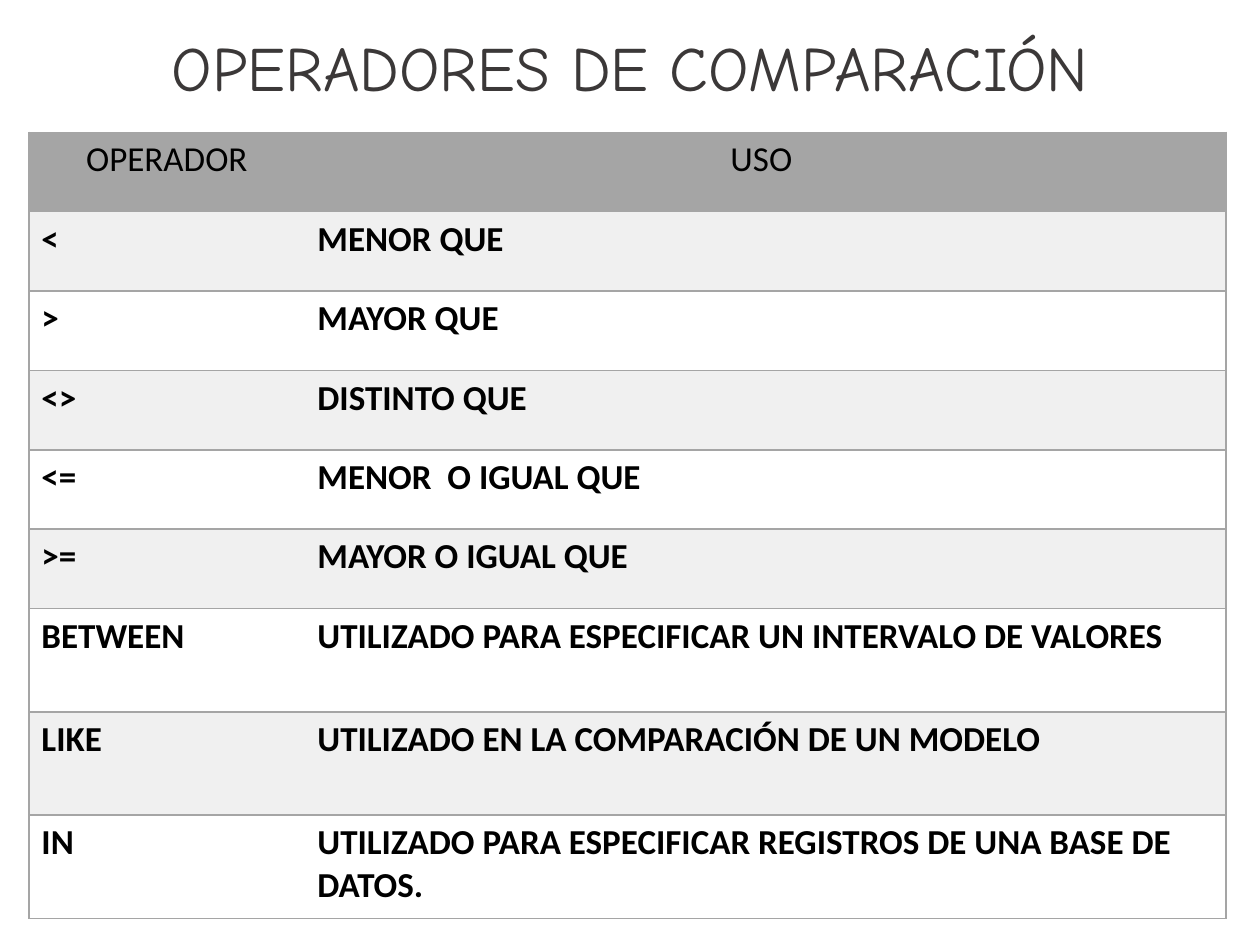
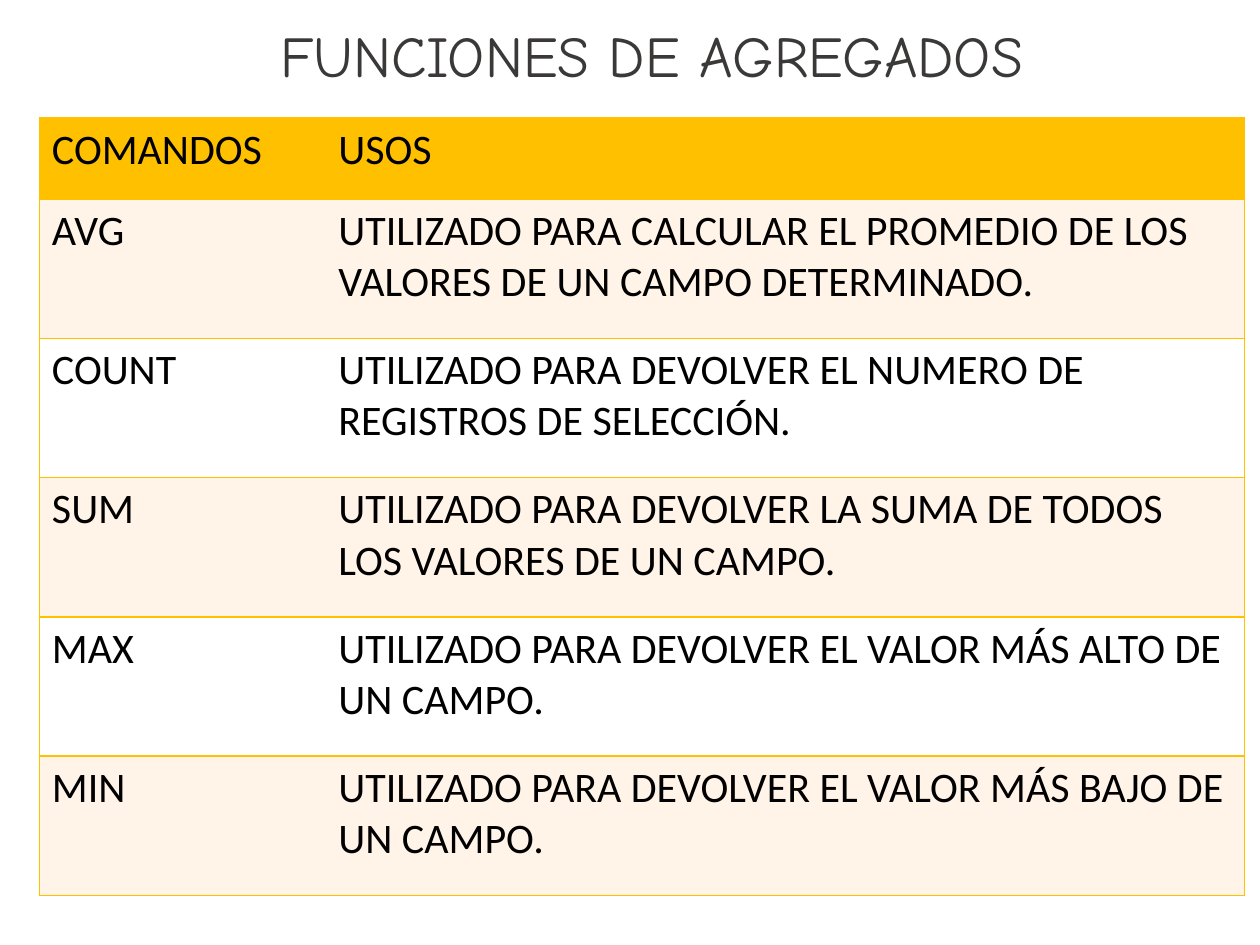
import pptx
import pptx.dml.color
import pptx.enum.text
import pptx.oxml
import pptx.oxml.ns
import pptx.util
from pptx.dml.color import RGBColor
from pptx.util import Pt

TITLE_COLOR = RGBColor(0x3B, 0x38, 0x38)
TEXT_COLOR = RGBColor(0x00, 0x00, 0x00)
WHITE = RGBColor(0xFF, 0xFF, 0xFF)
GRAY = RGBColor(0xA5, 0xA5, 0xA5)
LIGHT_GRAY = RGBColor(0xF0, 0xF0, 0xF0)
AMBER = RGBColor(0xFF, 0xC0, 0x00)
LIGHT_AMBER = RGBColor(0xFF, 0xF4, 0xE7)
TITLE_FONT = "Comic Neue"
TABLE_FONT = "Calibri"
CENTER = pptx.enum.text.PP_ALIGN.CENTER
LEFT = pptx.enum.text.PP_ALIGN.LEFT

comparison = {
    "title": "OPERADORES DE COMPARACIÓN",
    "title_box": (0, 3.6, 720, 74.2),
    "title_size": 36,
    "table_at": (16.5, 75.6),
    "columns": (157.7, 526.3),
    "heights": [45.36] * 6 + [59.04] * 3,
    "size": 20,
    "bold_body": True,
    "header_alignment": CENTER,
    "accent": GRAY,
    "band": LIGHT_GRAY,
    "rows": [
        ("OPERADOR", "USO "),
        ("<", "MENOR QUE"),
        (">", "MAYOR QUE"),
        ("<>", "DISTINTO QUE"),
        ("<=", "MENOR  O IGUAL QUE"),
        (">=", "MAYOR O IGUAL QUE"),
        ("BETWEEN", "UTILIZADO PARA ESPECIFICAR UN INTERVALO DE VALORES"),
        ("LIKE", "UTILIZADO EN LA COMPARACIÓN DE UN MODELO"),
        ("IN", "UTILIZADO PARA ESPECIFICAR REGISTROS DE UNA BASE DE DATOS."),
    ],
}
aggregates = {
    "title": "FUNCIONES DE AGREGADOS ",
    "title_box": (36, 0, 684, 67.7),
    "title_size": 33,
    "table_at": (22.5, 67.5),
    "columns": (163.7, 525),
    "heights": [46.4] + [79.55] * 5,
    "size": 24,
    "bold_body": False,
    "header_alignment": LEFT,
    "accent": AMBER,
    "band": LIGHT_AMBER,
    "rows": [
        ("COMANDOS", "USOS"),
        ("AVG", "UTILIZADO PARA CALCULAR EL PROMEDIO DE LOS VALORES DE UN CAMPO DETERMINADO."),
        ("COUNT", "UTILIZADO PARA DEVOLVER EL NUMERO DE REGISTROS DE SELECCIÓN."),
        ("SUM", "UTILIZADO PARA DEVOLVER LA SUMA DE TODOS LOS VALORES DE UN CAMPO."),
        ("MAX", "UTILIZADO PARA DEVOLVER EL VALOR MÁS ALTO DE UN CAMPO."),
        ("MIN", "UTILIZADO PARA DEVOLVER EL VALOR MÁS BAJO DE UN CAMPO."),
    ],
}


def set_borders(cell, color, hidden_side):
    """Draw 1 pt borders on all sides but the one between the columns."""
    properties = cell._tc.get_or_add_tcPr()
    namespace = pptx.oxml.ns.nsdecls("a")
    for side in "LRTB":
        if side == hidden_side:
            paint = "<a:noFill/>"
        else:
            paint = f'<a:solidFill><a:srgbClr val="{color}"/></a:solidFill>'
        properties.append(pptx.oxml.parse_xml(
            f'<a:ln{side} {namespace} w="{Pt(1)}">{paint}</a:ln{side}>'))


def format_paragraph(paragraph, font_name, size, color, alignment):
    paragraph.alignment = alignment
    paragraph.font.name = font_name
    paragraph.font.size = Pt(size)
    paragraph.font.color.rgb = color


presentation = pptx.Presentation()
presentation.slide_width = Pt(720)
presentation.slide_height = Pt(540)

for content in (comparison, aggregates):
    slide = presentation.slides.add_slide(presentation.slide_layouts[5])

    title = slide.shapes.title
    title.left, title.top, title.width, title.height = map(Pt, content["title_box"])
    title.text_frame.text = content["title"]
    title.text_frame.vertical_anchor = pptx.enum.text.MSO_ANCHOR.MIDDLE
    paragraph = title.text_frame.paragraphs[0]
    format_paragraph(paragraph, TITLE_FONT, content["title_size"], TITLE_COLOR, CENTER)
    paragraph.line_spacing = 0.9

    left, top = content["table_at"]
    table = slide.shapes.add_table(
        len(content["rows"]), len(content["columns"]), Pt(left), Pt(top),
        Pt(sum(content["columns"])), Pt(sum(content["heights"]))).table
    for column, width in zip(table.columns, content["columns"]):
        column.width = Pt(width)

    for row_index, texts in enumerate(content["rows"]):
        table.rows[row_index].height = Pt(content["heights"][row_index])
        is_header = row_index == 0
        if is_header:
            fill_color = content["accent"]
        else:
            fill_color = content["band"] if row_index % 2 else WHITE
        for column_index, text in enumerate(texts):
            cell = table.cell(row_index, column_index)
            set_borders(cell, content["accent"], "RL"[column_index])
            cell.fill.solid()
            cell.fill.fore_color.rgb = fill_color
            cell.text = text
            paragraph = cell.text_frame.paragraphs[0]
            alignment = content["header_alignment"] if is_header else LEFT
            format_paragraph(paragraph, TABLE_FONT, content["size"], TEXT_COLOR, alignment)
            paragraph.font.bold = content["bold_body"] and not is_header

presentation.save("out.pptx")
